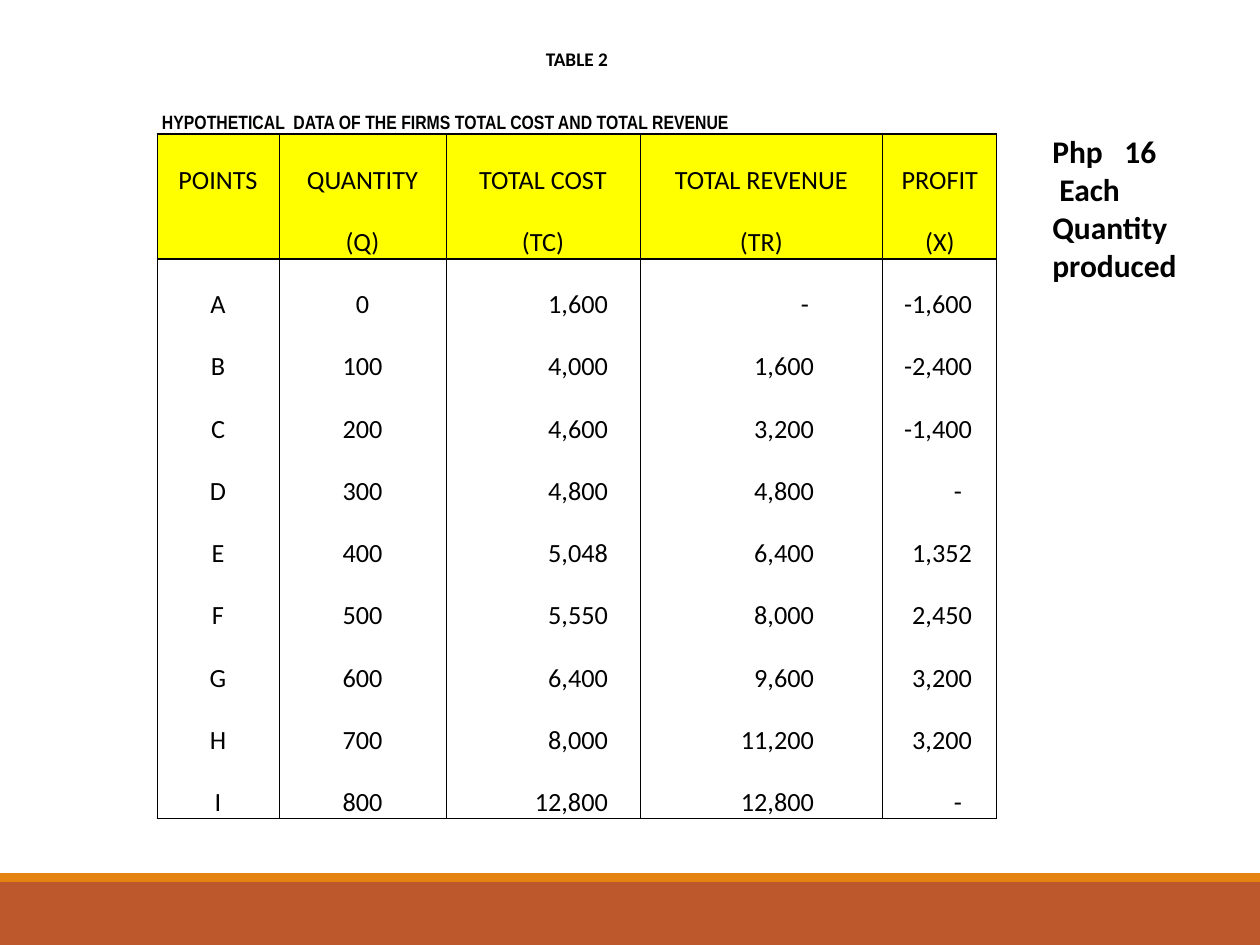
from dataclasses import dataclass

import pptx
import pptx.dml.color
import pptx.enum.shapes
import pptx.enum.text
import pptx.oxml.ns
import pptx.util
from lxml import etree

PX_PER_INCH = 126
LEFT, CENTER, RIGHT = (
    pptx.enum.text.PP_ALIGN.LEFT,
    pptx.enum.text.PP_ALIGN.CENTER,
    pptx.enum.text.PP_ALIGN.RIGHT,
)


@dataclass(frozen=True)
class Theme:
    ink: str = "000000"
    header: str = "FFFF00"
    band: str = "BD582C"
    stripe: str = "E48312"
    font: str = "Calibri"
    narrow_font: str = "Arial Narrow"
    caption_size: int = 11
    cell_size: int = 15
    note_size: int = 18
    rule_line: float = 1
    side_line: float = 0.5


@dataclass(frozen=True)
class Column:
    """Right inset moves right-aligned figures in from the cell edge."""
    width: int
    heading: str
    symbol: str
    values: tuple[str, ...]
    align: pptx.enum.text.PP_ALIGN = CENTER
    inset: int = 1
    dash_inset: int = 1


@dataclass(frozen=True)
class Bar:
    top: int
    height: int
    color: str


@dataclass(frozen=True)
class NoteLine:
    words: tuple[str, ...]
    indent: int = 0


THEME = Theme()
TABLE_LEFT, TABLE_TOP, TABLE_HEIGHT = 157, 10, 809
CAPTION_ROWS, HEADER_ROWS = 2, 2
NOTE_TAB = 72
COLUMNS = (
    Column(122, "POINTS", "", tuple("ABCDEFGHI")),
    Column(167, "QUANTITY", "(Q)", tuple(str(100 * step) for step in range(9))),
    Column(194, "TOTAL COST", "(TC)",
           ("1,600", "4,000", "4,600", "4,800", "5,048", "5,550", "6,400", "8,000", "12,800"),
           RIGHT, 32),
    Column(243, "TOTAL REVENUE", "(TR)",
           ("-", "1,600", "3,200", "4,800", "6,400", "8,000", "9,600", "11,200", "12,800"),
           RIGHT, 69, 74),
    Column(114, "PROFIT", "(X)",
           ("-1,600", "-2,400", "-1,400", "-", "1,352", "2,450", "3,200", "3,200", "-"),
           RIGHT, 25, 35),
)
BARS = (Bar(882, 63, THEME.band), Bar(873, 9, THEME.stripe))
NOTE = (
    NoteLine(("Php", "16")),
    NoteLine(("Each",), indent=7),
    NoteLine(("Quantity",)),
    NoteLine(("produced",)),
)


def px(length: int) -> pptx.util.Emu:
    return pptx.util.Emu(round(length * 914400 / PX_PER_INCH))


def rgb(color: str) -> pptx.dml.color.RGBColor:
    return pptx.dml.color.RGBColor.from_string(color)


def add_run(paragraph, text: str, size: int, bold: bool = False, font: str = THEME.font) -> None:
    run = paragraph.add_run()
    run.text = text
    run.font.name = font
    run.font.size = pptx.util.Pt(size)
    run.font.bold = bold
    run.font.color.rgb = rgb(THEME.ink)


def add_bar(slide, bar: Bar) -> None:
    shape = slide.shapes.add_shape(
        pptx.enum.shapes.MSO_SHAPE.RECTANGLE, 0, px(bar.top), px(1260), px(bar.height))
    shape.shadow.inherit = False
    shape.fill.solid()
    shape.fill.fore_color.rgb = rgb(bar.color)
    shape.line.fill.background()


def set_borders(cell, sides: float, top: float, bottom: float) -> None:
    """Set border widths in points; zero means no border."""
    properties = cell._tc.get_or_add_tcPr()
    qn = pptx.oxml.ns.qn
    for side, width in zip("LRTB", (sides, sides, top, bottom)):
        line = etree.SubElement(properties, qn(f"a:ln{side}"), w=str(pptx.util.Pt(width)))
        if width:
            fill = etree.SubElement(line, qn("a:solidFill"))
            etree.SubElement(fill, qn("a:srgbClr"), val=THEME.ink)
        else:
            etree.SubElement(line, qn("a:noFill"))


def style_cell(cell, left_inset: int = 1, right_inset: int = 1) -> None:
    cell.vertical_anchor = pptx.enum.text.MSO_ANCHOR.BOTTOM
    cell.margin_left, cell.margin_right = px(left_inset), px(right_inset)
    cell.margin_top, cell.margin_bottom = px(1), 0


def fill_caption(table, row: int, text: str, align, font: str, left_inset: int = 1) -> None:
    last = len(COLUMNS) - 1
    table.cell(row, 0).merge(table.cell(row, last))
    for index in range(len(COLUMNS)):
        cell = table.cell(row, index)
        bottom = THEME.rule_line if row == CAPTION_ROWS - 1 else 0
        set_borders(cell, 0, 0, bottom)
        cell.fill.background()
    cell = table.cell(row, 0)
    style_cell(cell, left_inset)
    paragraph = cell.text_frame.paragraphs[0]
    paragraph.alignment = align
    add_run(paragraph, text, THEME.caption_size, True, font)


def fill_column(table, index: int, column: Column) -> None:
    texts = (column.heading, column.symbol, *column.values)
    for position, text in enumerate(texts):
        cell = table.cell(CAPTION_ROWS + position, index)
        is_header = position < HEADER_ROWS
        set_borders(
            cell,
            sides=THEME.side_line,
            top=THEME.rule_line if position in (0, HEADER_ROWS) else 0,
            bottom=THEME.rule_line if position in (HEADER_ROWS - 1, len(texts) - 1) else 0,
        )
        if is_header:
            cell.fill.solid()
            cell.fill.fore_color.rgb = rgb(THEME.header)
        else:
            cell.fill.background()
        inset = column.dash_inset if text == "-" else column.inset
        style_cell(cell, right_inset=1 if is_header else inset)
        if text:
            paragraph = cell.text_frame.paragraphs[0]
            paragraph.alignment = CENTER if is_header else column.align
            add_run(paragraph, text, THEME.cell_size)


def add_cost_table(slide) -> None:
    row_count = CAPTION_ROWS + HEADER_ROWS + len(COLUMNS[0].values)
    width = sum(column.width for column in COLUMNS)
    table = slide.shapes.add_table(
        row_count, len(COLUMNS), px(TABLE_LEFT), px(TABLE_TOP), px(width), px(TABLE_HEIGHT)).table
    table.first_row = table.horz_banding = False
    edges = [round(TABLE_HEIGHT * row / row_count) for row in range(row_count + 1)]
    for row, top, bottom in zip(table.rows, edges, edges[1:]):
        row.height = px(bottom - top)
    fill_caption(table, 0, "TABLE 2", CENTER, THEME.font)
    fill_caption(table, 1, "HYPOTHETICAL  DATA OF THE FIRMS TOTAL COST AND TOTAL REVENUE",
                 LEFT, THEME.narrow_font, left_inset=5)
    for index, column in enumerate(COLUMNS):
        table.columns[index].width = px(column.width)
        fill_column(table, index, column)


def add_price_note(slide) -> None:
    shape = slide.shapes.add_textbox(px(1040), px(126), px(149), px(165))
    frame = shape.text_frame
    frame.word_wrap = True
    frame.margin_right = 0
    for number, line in enumerate(NOTE):
        paragraph = frame.add_paragraph() if number else frame.paragraphs[0]
        properties = paragraph._p.get_or_add_pPr()
        properties.set("marL", str(px(line.indent)))
        if len(line.words) > 1:
            tabs = etree.SubElement(properties, pptx.oxml.ns.qn("a:tabLst"))
            etree.SubElement(tabs, pptx.oxml.ns.qn("a:tab"), pos=str(px(NOTE_TAB)), algn="l")
        add_run(paragraph, "\t".join(line.words), THEME.note_size, True)


def main() -> None:
    presentation = pptx.Presentation()
    presentation.slide_width, presentation.slide_height = px(1260), px(945)
    slide = presentation.slides.add_slide(presentation.slide_layouts[6])
    for bar in BARS:
        add_bar(slide, bar)
    add_cost_table(slide)
    add_price_note(slide)
    presentation.save("out.pptx")


if __name__ == "__main__":
    main()
